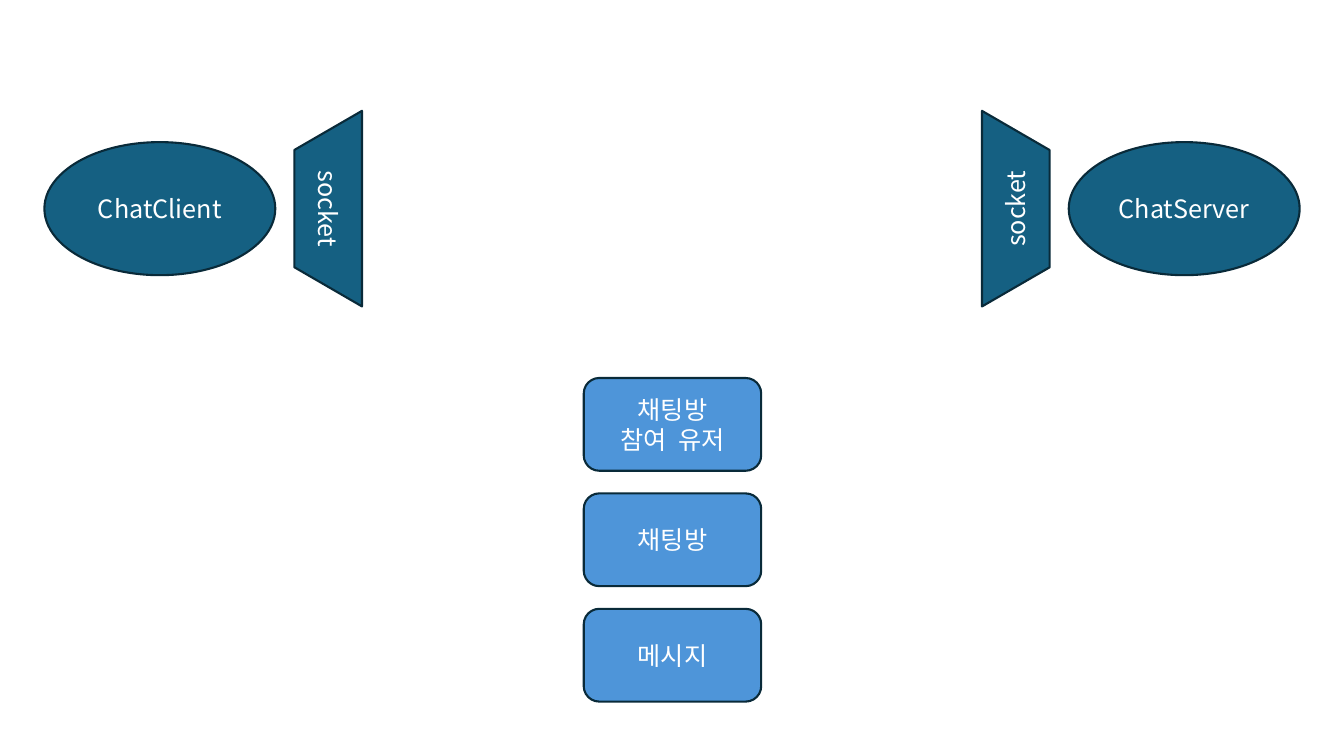
from dataclasses import dataclass

from lxml.etree import SubElement
from pptx import Presentation
from pptx.dml.color import RGBColor
from pptx.enum.shapes import MSO_SHAPE as Preset
from pptx.enum.text import MSO_ANCHOR as Anchor, PP_ALIGN as Align
from pptx.oxml.ns import qn
from pptx.util import Inches, Pt


@dataclass(frozen=True)
class Theme:
    font: str = "Noto Sans CJK KR"
    size: float = 18
    text: str = "FFFFFF"
    endpoint: str = "156082"
    data: str = "4E95D9"
    outline: str = "092A39"
    outline_width: float = 1.5


@dataclass(frozen=True)
class Box:
    left: float
    top: float
    width: float
    height: float


THEME = Theme()
ELLIPSE_WIDTH, ELLIPSE_HEIGHT = 2.29, 1.32
SOCKET_LENGTH, SOCKET_DEPTH = 1.94, 0.67
CARD_HEIGHT = 0.92


def write_text(frame, text, *, size=THEME.size, color=THEME.text,
               align=Align.CENTER, anchor=Anchor.MIDDLE):
    """Write one paragraph per line of text."""
    frame.word_wrap = True
    frame.vertical_anchor = anchor
    for index, line in enumerate(text.split("\n")):
        paragraph = frame.paragraphs[0] if index == 0 else frame.add_paragraph()
        paragraph.alignment = align
        run = paragraph.add_run()
        run.text = line
        run.font.size = Pt(size)
        run.font.name = THEME.font
        run.font.color.rgb = RGBColor.from_string(color)
        # Hangul takes its typeface from the East Asian font
        SubElement(run.font._element, qn("a:ea"), typeface=THEME.font)


def add_node(slide, preset, box, text, *, fill, rotation=0):
    node = slide.shapes.add_shape(preset, Inches(box.left), Inches(box.top),
                                  Inches(box.width), Inches(box.height))
    node.shadow.inherit = False
    node.rotation = rotation
    node.fill.solid()
    node.fill.fore_color.rgb = RGBColor.from_string(fill)
    node.line.color.rgb = RGBColor.from_string(THEME.outline)
    node.line.width = Pt(THEME.outline_width)
    write_text(node.text_frame, text)


def add_endpoint(slide, box, name, *, socket_on_right):
    """Place a program and its socket, whose wide side faces the other program."""
    middle = box.top + box.height / 2
    right = box.left + box.width
    program_left = box.left if socket_on_right else right - ELLIPSE_WIDTH
    socket_center = (right - SOCKET_DEPTH / 2 if socket_on_right
                     else box.left + SOCKET_DEPTH / 2)

    program = Box(program_left, middle - ELLIPSE_HEIGHT / 2,
                  ELLIPSE_WIDTH, ELLIPSE_HEIGHT)
    add_node(slide, Preset.OVAL, program, name, fill=THEME.endpoint)

    socket = Box(socket_center - SOCKET_LENGTH / 2, middle - SOCKET_DEPTH / 2,
                 SOCKET_LENGTH, SOCKET_DEPTH)
    add_node(slide, Preset.FLOWCHART_MANUAL_OPERATION, socket, "socket",
             fill=THEME.endpoint, rotation=90 if socket_on_right else 270)


def add_data_cards(slide, box, labels):
    """Spread the cards evenly over the height of the box."""
    pitch = (box.height - CARD_HEIGHT) / (len(labels) - 1)
    for index, label in enumerate(labels):
        card = Box(box.left, box.top + index * pitch, box.width, CARD_HEIGHT)
        add_node(slide, Preset.ROUNDED_RECTANGLE, card, label, fill=THEME.data)


def main():
    deck = Presentation()
    deck.slide_width, deck.slide_height = Inches(13.33), Inches(7.5)
    slide = deck.slides.add_slide(deck.slide_layouts[6])

    # Client and server, facing each other
    add_endpoint(slide, Box(0.44, 1.1, 3.15, 1.94), "ChatClient",
                 socket_on_right=True)
    add_endpoint(slide, Box(9.74, 1.1, 3.15, 1.94), "ChatServer",
                 socket_on_right=False)

    # Data kept for the chat
    add_data_cards(slide, Box(5.79, 3.75, 1.76, 3.21),
                   ["채팅방\n참여  유저", "채팅방", "메시지"])

    deck.save("out.pptx")


if __name__ == "__main__":
    main()
